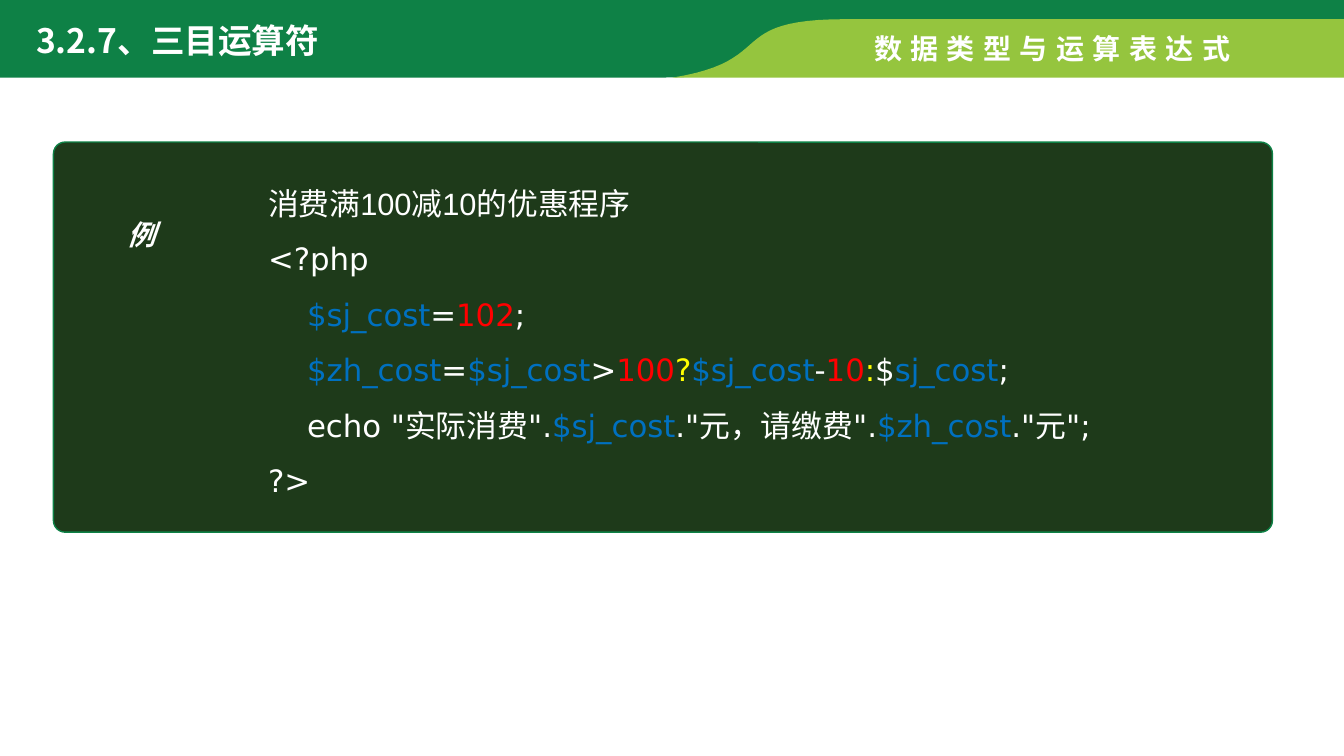
from dataclasses import dataclass

from lxml.etree import SubElement
from pptx import Presentation
from pptx.dml.color import RGBColor
from pptx.enum.shapes import MSO_SHAPE
from pptx.enum.text import MSO_ANCHOR, PP_ALIGN
from pptx.oxml.ns import qn
from pptx.util import Inches, Pt


@dataclass(frozen=True)
class Theme:
    """Colours, fonts and type sizes of the slide."""
    green: str = "0E8146"
    lime: str = "95C53E"
    panel: str = "1E3A1A"
    plain: str = "FFFFFF"
    variable: str = "0070C0"
    number: str = "FF0000"
    operator: str = "FFFF00"
    text_font: str = "Arial"
    chinese_font: str = "Noto Sans CJK SC"
    code_font: str = "DejaVu Sans"
    title_size: int = 24
    code_size: int = 22
    label_size: int = 20
    label_spacing: int = 6


THEME = Theme()

CODE_LINES = [
    [("<?php", THEME.plain)],
    [("    ", THEME.plain), ("$sj_cost", THEME.variable), ("=", THEME.plain),
     ("102", THEME.number), (";", THEME.plain)],
    [("    ", THEME.plain), ("$zh_cost", THEME.variable), ("=", THEME.plain),
     ("$sj_cost", THEME.variable), (">", THEME.plain), ("100", THEME.number),
     ("?", THEME.operator), ("$sj_cost", THEME.variable), ("-", THEME.plain),
     ("10", THEME.number), (":", THEME.operator), ("$", THEME.plain),
     ("sj_cost", THEME.variable), (";", THEME.plain)],
    [("    echo \"实际消费\".", THEME.plain), ("$sj_cost", THEME.variable),
     (".\"元，请缴费\".", THEME.plain), ("$zh_cost", THEME.variable),
     (".\"元\";", THEME.plain)],
    [("?>", THEME.plain)],
]


def add_run(paragraph, text, size, font, color=THEME.plain, bold=None, italic=None, spacing=0):
    """Add one formatted run to a paragraph."""
    run = paragraph.add_run()
    run.text = text
    run.font.size = Pt(size)
    run.font.bold = bold
    run.font.italic = italic
    run.font.color.rgb = RGBColor.from_string(color)
    run.font.name = font
    properties = run.font._element
    SubElement(properties, qn("a:ea")).set("typeface", THEME.chinese_font)
    if spacing:
        properties.set("spc", str(spacing * 100))


def add_text_box(slide, left, top, width, height, wrap=True):
    """Add a top-anchored text box and return its text frame."""
    box = slide.shapes.add_textbox(Inches(left), Inches(top), Inches(width), Inches(height))
    frame = box.text_frame
    frame.word_wrap = wrap
    frame.vertical_anchor = MSO_ANCHOR.TOP
    return frame


def curve(start, first, second, end, steps=24):
    """Return points along a cubic curve, both ends included."""
    weights = [((1 - t) ** 3, 3 * t * (1 - t) ** 2, 3 * t * t * (1 - t), t ** 3)
               for t in (step / steps for step in range(steps + 1))]
    return [tuple(sum(weight * point[axis] for weight, point in
                      zip(row, (start, first, second, end))) for axis in (0, 1))
            for row in weights]


def add_outline(slide, left, top, points, color):
    """Draw a filled closed outline from points relative to left and top."""
    corners = [(Inches(left + x), Inches(top + y)) for x, y in points]
    builder = slide.shapes.build_freeform(*corners[0], scale=1.0)
    builder.add_line_segments(corners[1:], close=True)
    shape = builder.convert_to_shape()
    shape.shadow.inherit = False
    shape.fill.solid()
    shape.fill.fore_color.rgb = RGBColor.from_string(color)
    shape.line.fill.background()


def add_header(slide, left, top, width, height):
    """Draw the two-tone header band with section title and chapter name."""
    green_edge = curve((8.09, 0.31), (7.27, 0.47), (7.7, height), (6.55, height))
    add_outline(slide, left, top,
                [(0, 0), (width, 0), (width, 0.27), (8.27, 0.27), *green_edge, (0, height)],
                THEME.green)
    lime_edge = curve((6.67, height), (7.73, 0.63), (7.17, 0.22), (8.39, 0.22))
    add_outline(slide, left, top, [(width, 0.22), (width, height), *lime_edge], THEME.lime)
    chapter = add_text_box(slide, left + 8.57, top + 0.29, 3.85, 0.44, wrap=False)
    add_run(chapter.paragraphs[0], "数据类型与运算表达式", THEME.label_size, THEME.text_font,
            bold=True, spacing=THEME.label_spacing)
    title = add_text_box(slide, left + 0.26, top + 0.18, 3.77, 0.5)
    add_run(title.paragraphs[0], "3.2.7、三目运算符", THEME.title_size, THEME.chinese_font,
            bold=True)


def add_example(slide, left, top, width, height):
    """Draw the dark example panel with its label and code listing."""
    panel = slide.shapes.add_shape(MSO_SHAPE.ROUNDED_RECTANGLE, Inches(left), Inches(top),
                                   Inches(width), Inches(height))
    panel.adjustments[0] = 0.03
    panel.shadow.inherit = False
    panel.fill.solid()
    panel.fill.fore_color.rgb = RGBColor.from_string(THEME.panel)
    panel.line.color.rgb = RGBColor.from_string(THEME.green)
    panel.line.width = Pt(1)

    label = add_text_box(slide, left + 0.57, top + 0.7, 0.6, 0.51).paragraphs[0]
    label.alignment = PP_ALIGN.CENTER
    add_run(label, "例", THEME.label_size, THEME.text_font, bold=True, italic=True,
            spacing=THEME.label_spacing)

    listing = add_text_box(slide, left + 2.03, top + 0.19, 8.89, 3.48)
    heading = listing.paragraphs[0]
    heading.line_spacing = 1.5
    add_run(heading, "消费满100减10的优惠程序", THEME.code_size, THEME.text_font)
    for line in CODE_LINES:
        paragraph = listing.add_paragraph()
        paragraph.line_spacing = 1.5
        for text, color in line:
            add_run(paragraph, text, THEME.code_size, THEME.code_font, color)


def main():
    """Build the slide and save the presentation."""
    presentation = Presentation()
    presentation.slide_width = Inches(13.33)
    presentation.slide_height = Inches(7.5)
    slide = presentation.slides.add_slide(presentation.slide_layouts[6])
    add_header(slide, 0, -0.03, 13.33, 0.8)
    add_example(slide, 0.53, 1.41, 12.09, 3.87)
    presentation.save("out.pptx")


if __name__ == "__main__":
    main()
